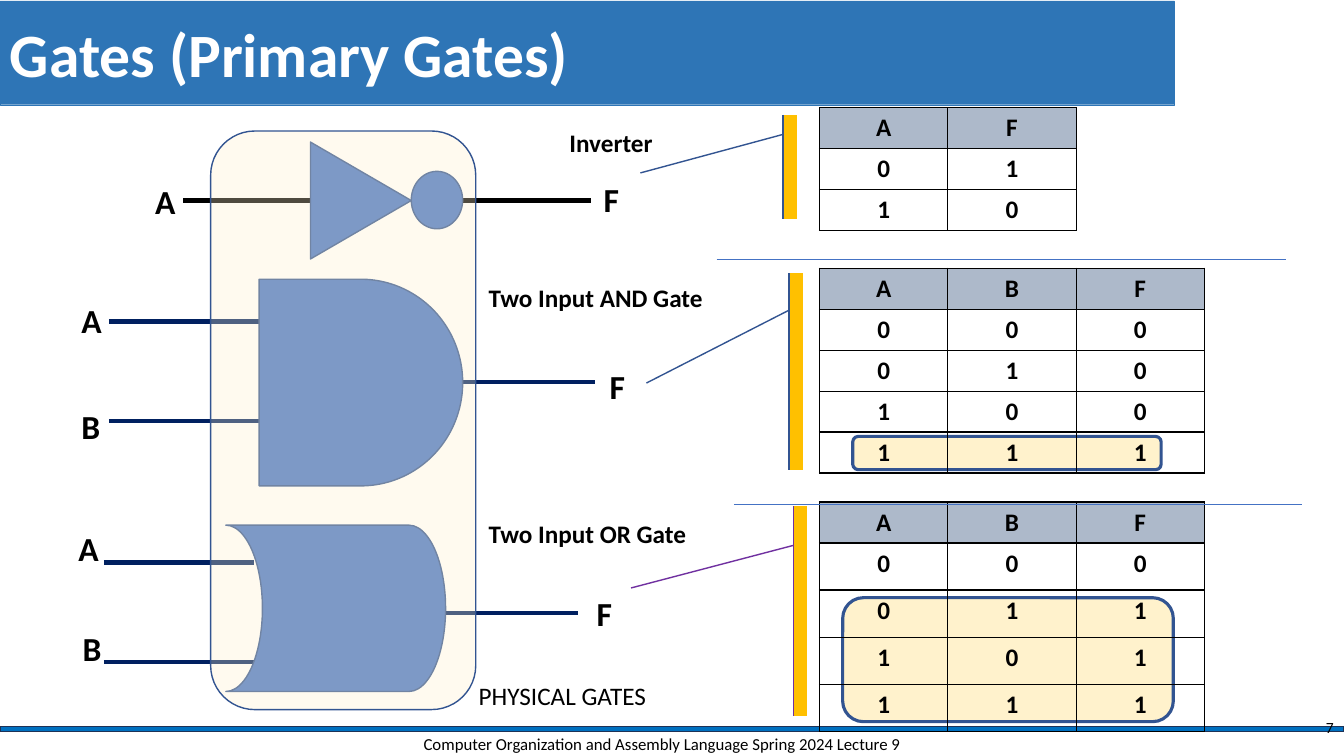
from dataclasses import dataclass
from itertools import product
from typing import Callable, Optional

from lxml import etree
from pptx import Presentation
from pptx.dml.color import RGBColor
from pptx.enum.shapes import MSO_CONNECTOR, MSO_SHAPE
from pptx.enum.text import MSO_ANCHOR, MSO_AUTO_SIZE, PP_ALIGN
from pptx.oxml import parse_xml
from pptx.oxml.ns import nsdecls, qn
from pptx.util import Inches, Pt

RECTANGLE, ROUNDED = MSO_SHAPE.RECTANGLE, MSO_SHAPE.ROUNDED_RECTANGLE
TRIANGLE, OVAL = MSO_SHAPE.ISOSCELES_TRIANGLE, MSO_SHAPE.OVAL
DELAY, STORED_DATA = MSO_SHAPE.FLOWCHART_DELAY, MSO_SHAPE.FLOWCHART_STORED_DATA
CALLOUT = MSO_SHAPE.LINE_CALLOUT_1_ACCENT_BAR
STRAIGHT = MSO_CONNECTOR.STRAIGHT
LEFT, CENTER, RIGHT = PP_ALIGN.LEFT, PP_ALIGN.CENTER, PP_ALIGN.RIGHT
TOP, MIDDLE = MSO_ANCHOR.TOP, MSO_ANCHOR.MIDDLE
GROW = MSO_AUTO_SIZE.SHAPE_TO_FIT_TEXT

# The slide is a grid of columns and rows, ten to the inch
COLUMNS, ROWS = 133.33, 75
FONT = "Calibri"
COLORS = {
    "black": "000000", "white": "FFFFFF", "title": "2E75B6", "bar": "0070C0",
    "bar_edge": "1E3256", "gate": "4472C4", "edge": "325491", "wire": "002060",
    "cream": "FFF2CC", "header": "ADB9CA", "callout": "FFC000", "purple": "7030A0",
}
Box = tuple[float, float, float, float]


@dataclass
class Part:
    preset: MSO_SHAPE
    box: Box
    fill: str = "gate"
    edge: str = "edge"
    weight: float = 1
    rotation: float = 0
    adjustments: tuple[float, ...] = ()
    alpha: Optional[int] = None


@dataclass
class Wire:
    left: float
    right: float
    row: float
    color: str = "wire"
    weight: float = 3


@dataclass
class Label:
    text: str
    box: Box
    size: float = 24
    bold: bool = True
    color: str = "black"
    align: PP_ALIGN = LEFT
    anchor: MSO_ANCHOR = TOP
    grow: bool = True


@dataclass
class TruthTable:
    inputs: str
    top: float
    output: Callable[..., int]
    row_height: float = 4.07


def grid(cells: float) -> int:
    return Inches(cells / 10)


def rgb(name: str) -> RGBColor:
    return RGBColor.from_string(COLORS[name])


def draw_part(slide, part: Part):
    shape = slide.shapes.add_shape(part.preset, *map(grid, part.box))
    shape.shadow.inherit = False
    shape.rotation = part.rotation
    shape.fill.solid()
    shape.fill.fore_color.rgb = rgb(part.fill)
    shape.line.color.rgb = rgb(part.edge)
    shape.line.width = Pt(part.weight)
    for index, value in enumerate(part.adjustments):
        shape.adjustments[index] = value
    if part.alpha is not None:
        color = shape.fill._xPr.find(".//" + qn("a:srgbClr"))
        etree.SubElement(color, qn("a:alpha"), val=str(part.alpha * 1000))


def draw_wire(slide, wire: Wire):
    ends = map(grid, (wire.left, wire.row, wire.right, wire.row))
    connector = slide.shapes.add_connector(STRAIGHT, *ends)
    connector.line.color.rgb = rgb(wire.color)
    connector.line.width = Pt(wire.weight)
    etree.SubElement(connector._element.spPr, qn("a:effectLst"))


def write(text_frame, text: str, size: float, bold: bool, color: str, align: PP_ALIGN):
    text_frame.text = text
    paragraph = text_frame.paragraphs[0]
    paragraph.alignment = align
    font = paragraph.runs[0].font
    font.name, font.size, font.bold = FONT, Pt(size), bold
    font.color.rgb = rgb(color)


def draw_label(slide, label: Label):
    text_frame = slide.shapes.add_textbox(*map(grid, label.box)).text_frame
    write(text_frame, label.text, label.size, label.bold, label.color, label.align)
    text_frame.word_wrap = not label.grow
    text_frame.vertical_anchor = label.anchor
    if label.grow:
        text_frame.auto_size = GROW


def add_borders(cell):
    properties = cell._tc.get_or_add_tcPr()
    for index, side in enumerate(("lnL", "lnR", "lnT", "lnB")):
        properties.insert(index, parse_xml(
            f'<a:{side} {nsdecls("a")} w="{Pt(1)}"><a:solidFill>'
            f'<a:srgbClr val="{COLORS["black"]}"/></a:solidFill></a:{side}>'))


def draw_truth_table(slide, truth: TruthTable):
    count = len(truth.inputs)
    rows = [(*truth.inputs, "F")]
    rows += [(*bits, truth.output(*bits)) for bits in product((0, 1), repeat=count)]
    heights = [4.07] + [truth.row_height] * (len(rows) - 1)
    column_width = 12.73
    table = slide.shapes.add_table(
        len(rows), count + 1, grid(81.3), grid(truth.top),
        grid(column_width * (count + 1)), grid(sum(heights))).table
    for column in table.columns:
        column.width = grid(column_width)
    for row_index, values in enumerate(rows):
        table.rows[row_index].height = grid(heights[row_index])
        for column_index, value in enumerate(values):
            cell = table.cell(row_index, column_index)
            write(cell.text_frame, str(value), 18, True, "black", CENTER)
            if row_index == 0:
                cell.fill.solid()
                cell.fill.fore_color.rgb = rgb("header")
            else:
                cell.fill.background()
            add_borders(cell)


POINTER = (0.188, -0.083, 0.559, -10.981)
LOW_POINTER = (0.188, -0.083, 0.391, -12.467)

BACKDROP = [
    Part(RECTANGLE, (0, 72.1, COLUMNS, 0.5), "bar", "bar_edge"),
    Part(RECTANGLE, (0, 0.1, 116.5, 10.3), "title", "title", 0.25),
    # Highlighted rows where the output is 1
    Part(ROUNDED, (84.6, 43.3, 30.6, 3.3), "cream", weight=2.25),
    Part(ROUNDED, (83.6, 59.3, 32.8, 12.3), "cream", weight=2.25),
]
TABLES = [
    TruthTable("A", 10.7, lambda a: 1 - a),
    TruthTable("AB", 26.6, lambda a, b: a & b),
    TruthTable("AB", 49.8, lambda a, b: a | b, 4.67),
]
WIRES = [
    Wire(18.2, 30.8, 19.9, "black"), Wire(45.9, 58.6, 19.9, "black"),
    Wire(10.8, 25.7, 31.9), Wire(10.8, 25.7, 41.8), Wire(45.9, 59, 37.9),
    Wire(10.3, 25.2, 55.8), Wire(10.3, 25.2, 65.7), Wire(44.2, 57.3, 60.8),
    # Dividers between the truth tables
    Wire(71.1, 127.6, 25.7, "gate", 0.5), Wire(72.8, 129.2, 50, "gate", 0.5),
]
FOREGROUND = [
    # Inverter, AND gate, OR gate
    Part(TRIANGLE, (30, 14.9, 11.6, 10), rotation=90),
    Part(OVAL, (40.8, 17, 5.1, 5.7)),
    Part(DELAY, (25.7, 27.7, 20.2, 20.5)),
    Part(STORED_DATA, (22.4, 52.1, 21.8, 16.5), rotation=180),
    # Callouts from the tables to the gate outputs
    Part(CALLOUT, (77.8, 11.4, 1.3, 10.3), "callout", adjustments=POINTER),
    Part(CALLOUT, (78.4, 27.1, 1.3, 19.5), "callout", adjustments=POINTER),
    Part(CALLOUT, (78.8, 50.2, 1.3, 20.8), "callout", "purple", adjustments=LOW_POINTER),
    # Veil around all the gates
    Part(ROUNDED, (20.9, 13, 26.3, 57.4), "cream", alpha=31),
]
PINS = [
    ("A", 14.4, 17.5), ("F", 58.9, 17.3),
    ("A", 7.1, 29.3), ("B", 7.1, 39.8), ("F", 59.5, 35.8),
    ("A", 6.8, 51.9), ("B", 7.2, 61.8), ("F", 58.2, 58.3),
]
PIN_WIDTHS = {"A": 3.2, "B": 3.1, "F": 2.8}
LABELS = [Label(name, (left, top, PIN_WIDTHS[name], 5)) for name, left, top in PINS] + [
    Label("Gates (Primary Gates)", (0, 0.1, 116.5, 10.3), 44, color="white",
          anchor=MIDDLE, grow=False),
    Label("Inverter", (55.5, 12.1, 10.3, 4), 18),
    Label("Two Input AND Gate", (47.5, 27.5, 23.3, 4), 18),
    Label("Two Input OR Gate", (47.5, 50.9, 21.6, 4), 18),
    Label("PHYSICAL GATES", (46.5, 67, 18.8, 4), 18, False),
    Label("7", (103.3, 70.9, 30, 2.5), 11.1, False, align=RIGHT, anchor=MIDDLE, grow=False),
    Label("Computer Organization and Assembly Language Spring 2024 Lecture 9",
          (39.2, 72.4, 53, 2.8), 12, False, align=CENTER, anchor=MIDDLE, grow=False),
]


def main():
    presentation = Presentation()
    presentation.slide_width, presentation.slide_height = grid(COLUMNS), grid(ROWS)
    slide = presentation.slides.add_slide(presentation.slide_layouts[6])
    layers = ((draw_part, BACKDROP), (draw_truth_table, TABLES), (draw_wire, WIRES),
              (draw_part, FOREGROUND), (draw_label, LABELS))
    for draw, items in layers:
        for item in items:
            draw(slide, item)
    presentation.save("out.pptx")


if __name__ == "__main__":
    main()
